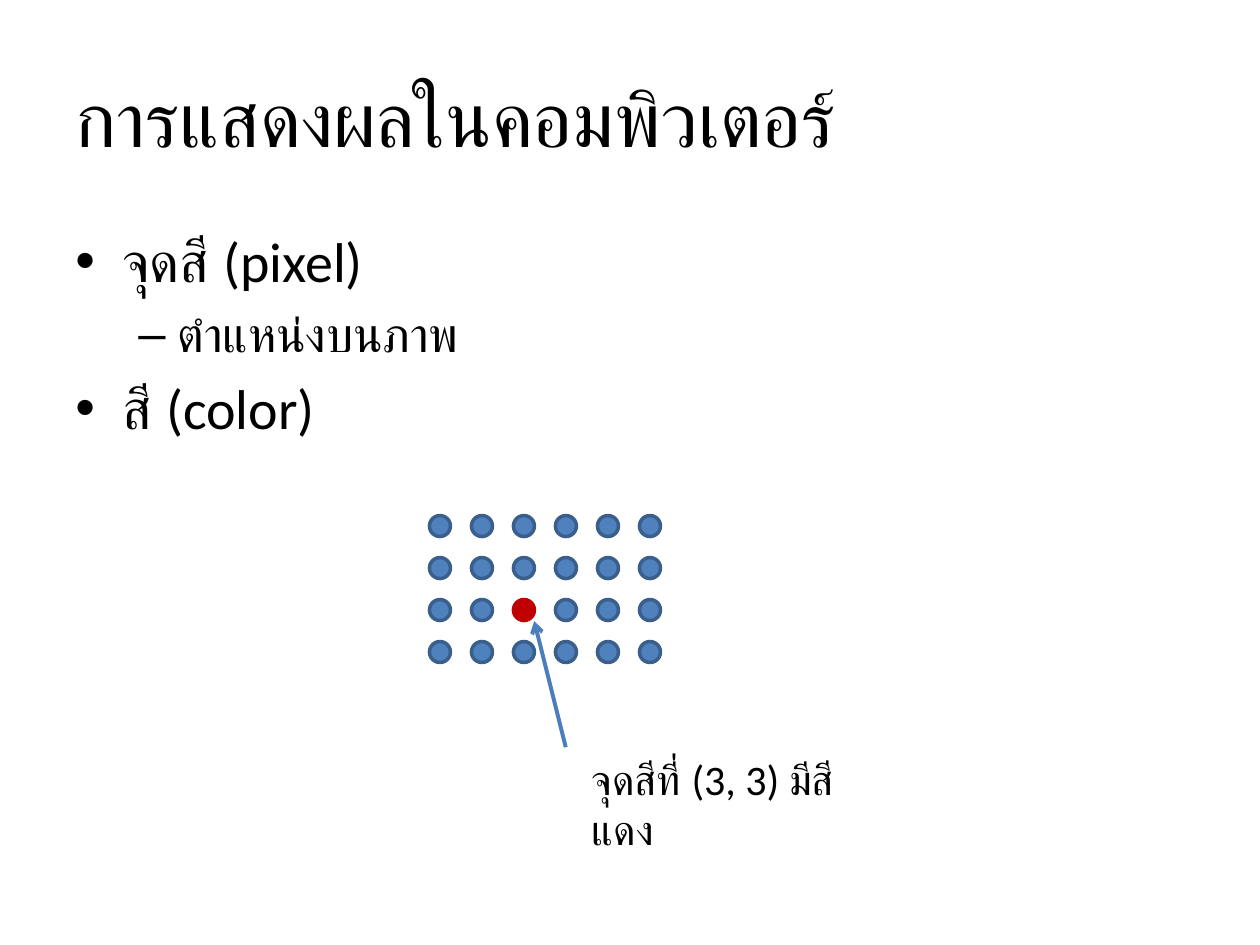
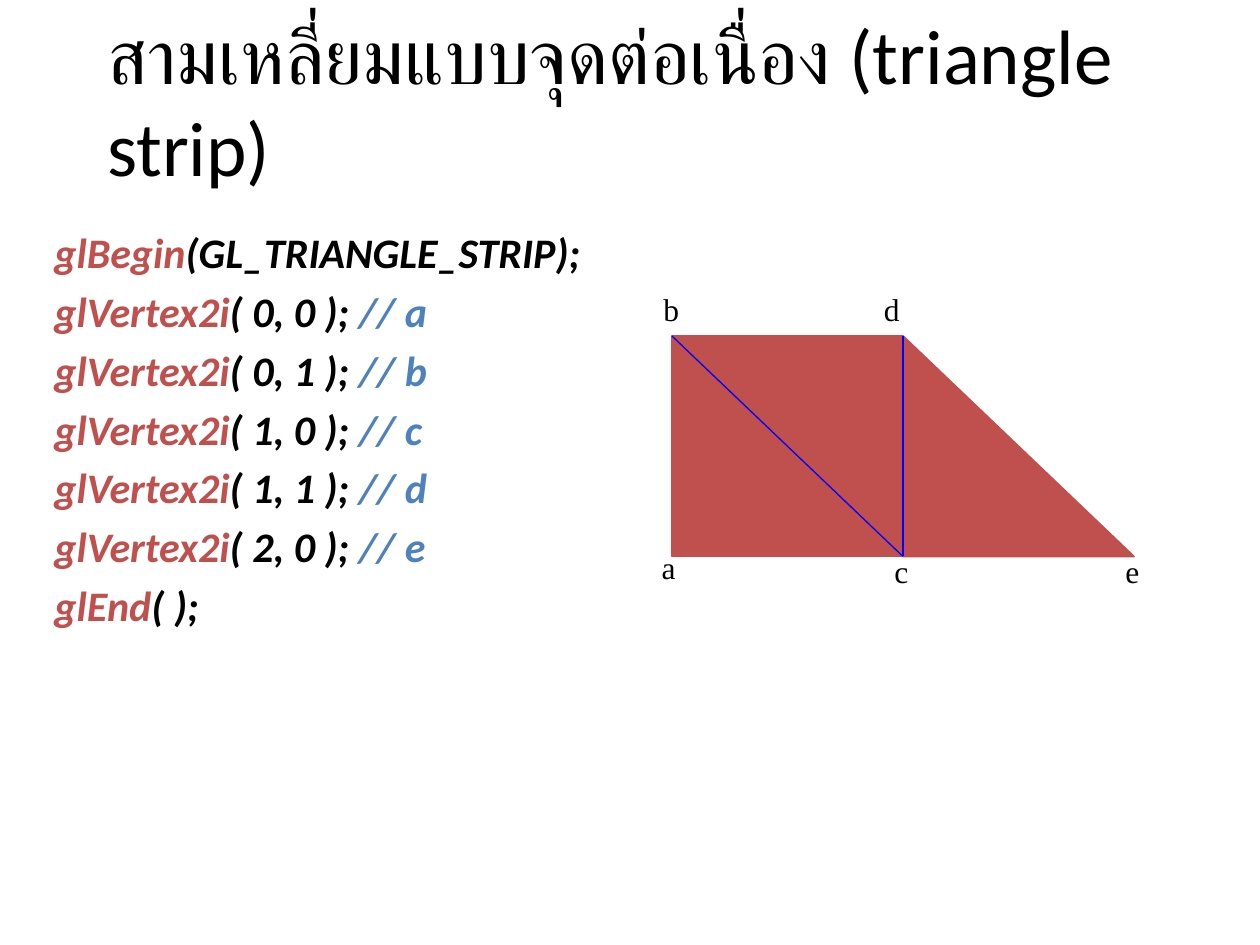
from dataclasses import dataclass
from itertools import product
from typing import NamedTuple

from lxml.etree import SubElement
from pptx import Presentation
from pptx.dml.color import RGBColor
from pptx.enum.lang import MSO_LANGUAGE_ID
from pptx.enum.shapes import MSO_CONNECTOR, MSO_SHAPE
from pptx.enum.text import MSO_ANCHOR, MSO_AUTO_SIZE, PP_ALIGN
from pptx.oxml.ns import qn
from pptx.shapes.connector import Connector
from pptx.slide import Slide
from pptx.util import Pt

BLACK = RGBColor(0x00, 0x00, 0x00)
BLUE = RGBColor(0x4F, 0x81, 0xBD)
DOT_EDGE = RGBColor(0x3A, 0x5F, 0x8C)
POINTER_BLUE = RGBColor(0x4B, 0x7E, 0xBC)
MARKED_RED = RGBColor(0xC0, 0x00, 0x00)
BRICK = RGBColor(0xC0, 0x50, 0x4D)
EDGE_BLUE = RGBColor(0x00, 0x00, 0xFF)

THAI = {"name": "Calibri", "language_id": MSO_LANGUAGE_ID.THAI}
TITLE_FORMAT = THAI | {"size": Pt(44)}
NOTE_FORMAT = THAI | {"size": Pt(24)}
CODE_FORMAT = {"name": "Calibri", "size": Pt(24), "bold": True, "italic": True}
LABEL_FORMAT = {"name": "Times New Roman", "size": Pt(18)}


class Box(NamedTuple):
    left: float
    top: float
    width: float
    height: float

    def lengths(self) -> list[Pt]:
        return [Pt(value) for value in self]


class Point(NamedTuple):
    x: float
    y: float


class Run(NamedTuple):
    text: str
    color: RGBColor = BLACK


@dataclass(frozen=True)
class Paragraph:
    runs: list[Run]
    format: dict
    indent: float = 0
    hanging: float = 0
    bullet: str = ""


@dataclass(frozen=True)
class Figure:
    kind: MSO_SHAPE
    box: Box
    fill: RGBColor
    edge: RGBColor
    edge_width: float


def fill_paragraph(target, content: Paragraph) -> None:
    target.alignment = PP_ALIGN.LEFT
    for text, color in content.runs:
        run = target.add_run()
        run.text = text
        for name, value in content.format.items():
            setattr(run.font, name, value)
        run.font.color.rgb = color
    if content.indent:
        properties = target._p.get_or_add_pPr()
        properties.set("marL", str(Pt(content.indent)))
        properties.set("indent", str(-Pt(content.hanging)))
        if content.bullet:
            SubElement(properties, qn("a:buFont"), typeface="Arial")
            SubElement(properties, qn("a:buChar"), char=content.bullet)


def add_text(slide: Slide, box: Box, paragraphs: list[Paragraph]) -> None:
    frame = slide.shapes.add_textbox(*box.lengths()).text_frame
    frame.word_wrap = True
    for index, content in enumerate(paragraphs):
        target = frame.add_paragraph() if index else frame.paragraphs[0]
        if index:
            target.space_before = Pt(content.format["size"].pt * 0.2)
        fill_paragraph(target, content)


def add_figure(slide: Slide, figure: Figure) -> None:
    shape = slide.shapes.add_shape(figure.kind, *figure.box.lengths())
    shape.shadow.inherit = False
    shape.fill.solid()
    shape.fill.fore_color.rgb = figure.fill
    shape.line.color.rgb = figure.edge
    shape.line.width = Pt(figure.edge_width)


def add_line(slide: Slide, start: Point, end: Point, color: RGBColor, width: float) -> Connector:
    line = slide.shapes.add_connector(
        MSO_CONNECTOR.STRAIGHT, Pt(start.x), Pt(start.y), Pt(end.x), Pt(end.y)
    )
    line.line.color.rgb = color
    line.line.width = Pt(width)
    SubElement(line._element.spPr, qn("a:effectLst"))
    return line


def add_titled_slide(deck, text: str, box: Box) -> Slide:
    slide = deck.slides.add_slide(deck.slide_layouts.get_by_name("Title Only"))
    title = slide.shapes.title
    title.left, title.top, title.width, title.height = box.lengths()
    frame = title.text_frame
    frame.auto_size = MSO_AUTO_SIZE.NONE
    frame.vertical_anchor = MSO_ANCHOR.MIDDLE
    fill_paragraph(frame.paragraphs[0], Paragraph([Run(text)], TITLE_FORMAT))
    return slide


def topic(text: str) -> Paragraph:
    return Paragraph([Run(text)], THAI | {"size": Pt(32)}, 27, 27, "•")


def subtopic(text: str) -> Paragraph:
    return Paragraph([Run(text)], THAI | {"size": Pt(28)}, 58.5, 22.5, "–")


def code_line(function: str, arguments: str, comment: str = "") -> Paragraph:
    runs = [Run(function, BRICK), Run(arguments)]
    if comment:
        runs.append(Run(comment, BLUE))
    return Paragraph(runs, CODE_FORMAT, 27, 27)


def build_pixel_slide(deck) -> None:
    slide = add_titled_slide(deck, "การแสดงผลในคอมพิวเตอร์", Box(36, 21.6, 648, 90))
    add_text(
        slide,
        Box(36, 126, 648, 356.4),
        [topic("จุดสี (pixel)"), subtopic("ตำแหน่งบนภาพ"), topic("สี (color)")],
    )

    rows, columns, pitch, diameter = 4, 6, 24, 12
    origin, marked = Point(245.4, 294.6), (2, 2)
    for row, column in product(range(rows), range(columns)):
        box = Box(origin.x + column * pitch, origin.y + row * pitch, diameter, diameter)
        fill, edge = (MARKED_RED, MARKED_RED) if (row, column) == marked else (BLUE, DOT_EDGE)
        add_figure(slide, Figure(MSO_SHAPE.OVAL, box, fill, edge, 2))

    pointer = add_line(slide, Point(323.3, 427), Point(305.3, 355), POINTER_BLUE, 2.25)
    SubElement(pointer.line._get_or_add_ln(), qn("a:tailEnd"), type="arrow")
    add_text(
        slide,
        Box(331.2, 427, 161.3, 36),
        [Paragraph([Run("จุดสีที่ (3, 3) มีสีแดง")], NOTE_FORMAT)],
    )


def build_strip_slide(deck) -> None:
    slide = add_titled_slide(
        deck, "สามเหลี่ยมแบบจุดต่อเนื่อง (triangle strip)", Box(54, 12, 612, 90)
    )
    vertices = {"a": (0, 0), "b": (0, 1), "c": (1, 0), "d": (1, 1), "e": (2, 0)}
    calls = [
        code_line("glVertex2i", f"( {x}, {y} ); ", f"// {name}")
        for name, (x, y) in vertices.items()
    ]
    add_text(
        slide,
        Box(24, 126, 510, 324),
        [code_line("glBegin", "(GL_TRIANGLE_STRIP);"), *calls, code_line("glEnd", "( );")],
    )

    left, top, width, height = 384, 192, 132, 126
    corners = {
        name: Point(left + x * width, top + (1 - y) * height)
        for name, (x, y) in vertices.items()
    }
    for kind, corner in ((MSO_SHAPE.RECTANGLE, "b"), (MSO_SHAPE.RIGHT_TRIANGLE, "d")):
        add_figure(slide, Figure(kind, Box(*corners[corner], width, height), BRICK, BRICK, 1))
    for start in "db":
        add_line(slide, corners[start], corners["c"], EDGE_BLUE, 0.75)

    label_offsets = {"a": (-13, -8.4), "c": (-12, -6), "e": (-12, -6), "b": (-12, -30), "d": (-18, -30)}
    for name, (dx, dy) in label_offsets.items():
        corner = corners[name]
        add_text(
            slide,
            Box(corner.x + dx, corner.y + dy, 26, 36),
            [Paragraph([Run(name)], LABEL_FORMAT)],
        )


def main() -> None:
    deck = Presentation()
    deck.slide_width, deck.slide_height = Pt(720), Pt(540)
    build_pixel_slide(deck)
    build_strip_slide(deck)
    deck.save("out.pptx")


if __name__ == "__main__":
    main()
